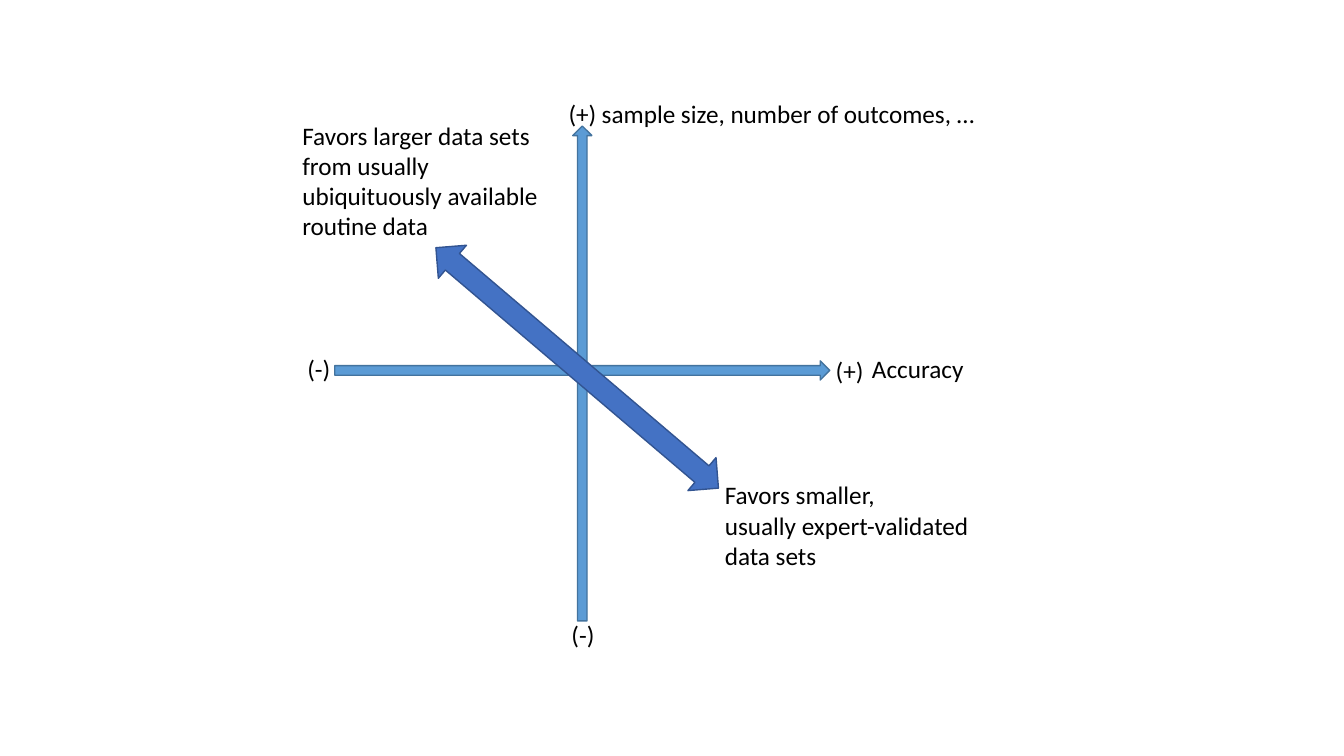
from dataclasses import dataclass

from pptx import Presentation
from pptx.dml.color import RGBColor
from pptx.enum.shapes import MSO_SHAPE
from pptx.enum.text import MSO_AUTO_SIZE
from pptx.util import Inches, Pt

UP_ARROW = MSO_SHAPE.UP_ARROW
UP_DOWN_ARROW = MSO_SHAPE.UP_DOWN_ARROW
FIT_SHAPE = MSO_AUTO_SIZE.SHAPE_TO_FIT_TEXT
BLANK_LAYOUT = 6


@dataclass(frozen=True)
class Theme:
    font: str = "Calibri"
    text_size: int = 18
    text: str = "000000"
    axis_fill: str = "5B9BD5"
    axis_line: str = "43739E"
    tradeoff_fill: str = "4472C4"
    tradeoff_line: str = "325491"
    line_width: int = 1


THEME = Theme()

# Text, left, top, width, height in inches
LABELS = [
    ("(+)", 5.54, 0.93, 0.48, 0.4),
    ("(+)", 8.19, 3.48, 0.48, 0.4),
    ("(-)", 5.57, 6.09, 0.43, 0.4),
    ("(-)", 2.95, 3.46, 0.43, 0.4),
    ("sample size, number of outcomes, …", 5.87, 0.93, 3.96, 0.4),
    ("Accuracy", 8.55, 3.46, 1.12, 0.4),
    ("Favors smaller,\nusually expert-validated\ndata sets", 7.09, 4.71, 2.68, 1.01),
    ("Favors larger data sets\nfrom usually\nubiquituously available\nroutine data",
     2.9, 1.14, 2.65, 1.62),
]


def add_text(slide, text, left, top, width, height, *,
             size=THEME.text_size, color=THEME.text, font=THEME.font):
    box = slide.shapes.add_textbox(Inches(left), Inches(top), Inches(width), Inches(height))
    frame = box.text_frame
    frame.word_wrap = False
    frame.auto_size = FIT_SHAPE
    frame.text = text
    for paragraph in frame.paragraphs:
        for run in paragraph.runs:
            run.font.name = font
            run.font.size = Pt(size)
            run.font.color.rgb = RGBColor.from_string(color)


def add_arrow(slide, kind, left, top, width, height, *, fill, line, rotation=0):
    arrow = slide.shapes.add_shape(
        kind, Inches(left), Inches(top), Inches(width), Inches(height))
    arrow.rotation = rotation
    arrow.shadow.inherit = False
    arrow.fill.solid()
    arrow.fill.fore_color.rgb = RGBColor.from_string(fill)
    arrow.line.color.rgb = RGBColor.from_string(line)
    arrow.line.width = Pt(THEME.line_width)


def main():
    presentation = Presentation()
    presentation.slide_width = Inches(13.33)
    presentation.slide_height = Inches(7.5)
    slide = presentation.slides.add_slide(presentation.slide_layouts[BLANK_LAYOUT])

    # Axes: sample size upwards, accuracy to the right
    for top, rotation in ((1.25, 0), (1.22, 90)):
        add_arrow(slide, UP_ARROW, 5.68, top, 0.19, 4.91,
                  fill=THEME.axis_fill, line=THEME.axis_line, rotation=rotation)

    # Axis ends and explanations
    for label in LABELS:
        add_text(slide, *label)

    # Trade-off between size and accuracy
    add_arrow(slide, UP_DOWN_ARROW, 5.51, 1.81, 0.43, 3.68,
              fill=THEME.tradeoff_fill, line=THEME.tradeoff_line, rotation=310.4)

    presentation.save("out.pptx")


if __name__ == "__main__":
    main()
